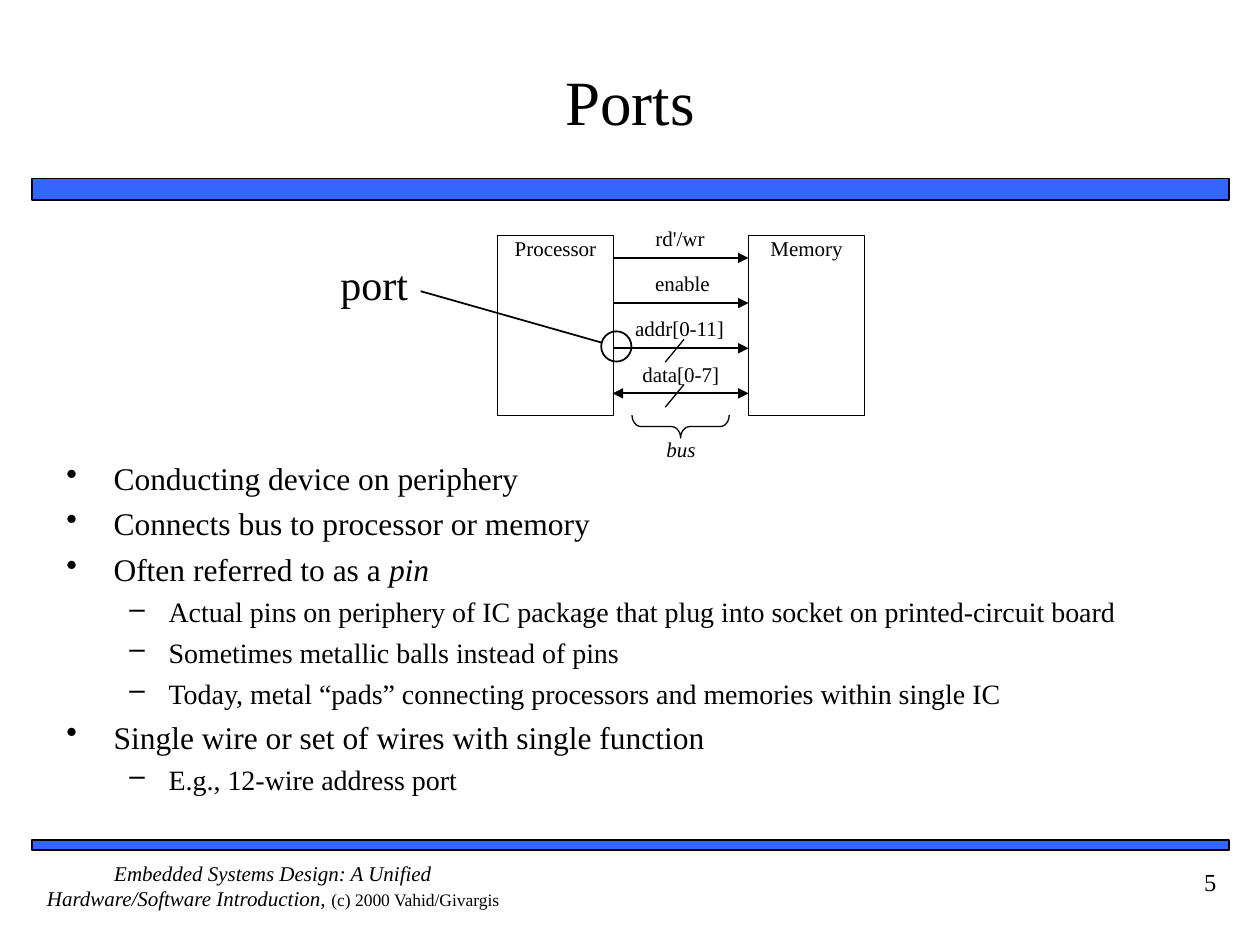
import pptx
import pptx.util
import pptx.dml.color
import pptx.enum.shapes
import pptx.enum.text
import pptx.oxml
from pptx.oxml.ns import qn
from pptx.util import Cm

COLOURS = {"bar": "3366FF", "ink": "000000", "paper": "FFFFFF"}
FONT = "Times New Roman"
SHAPES = pptx.enum.shapes.MSO_SHAPE
ALIGN = pptx.enum.text.PP_ALIGN
ANCHOR = pptx.enum.text.MSO_ANCHOR

# Bullet levels: sign, text indent and hanging in cm, size and space before in points
LEVELS = [
    {"sign": "•", "indent": 0.95, "hang": 0.95, "size": 18, "before": 4.5},
    {"sign": "–", "indent": 2.06, "hang": 0.79, "size": 16, "before": 4},
]
BULLETS = [
    (0, [("Conducting device on periphery", False)]),
    (0, [("Connects bus to processor or memory", False)]),
    (0, [("Often referred to as a ", False), ("pin", True)]),
    (1, [("Actual pins on periphery of IC package that plug into socket "
          "on printed-circuit board", False)]),
    (1, [("Sometimes metallic balls instead of pins", False)]),
    (1, [("Today, metal “pads” connecting processors and memories within single IC", False)]),
    (0, [("Single wire or set of wires with single function", False)]),
    (1, [("E.g., 12-wire address port", False)]),
]
# Signal name, label left and width in cm, wide bus, arrow at both ends
SIGNALS = [
    ("rd'/wr", 12.73, 1.96, False, False),
    ("enable", 12.78, 1.96, False, False),
    ("addr[0-11]", 12.24, 2.92, True, False),
    ("data[0-7]", 12.47, 2.51, True, True),
]


def colour(name):
    return pptx.dml.color.RGBColor.from_string(COLOURS[name])


def set_values(target, values):
    for name, value in values.items():
        setattr(target, name, value)


def add_span(para, text, size, italic=False):
    span = para.add_run()
    span.text = text
    set_values(span.font, {"name": FONT, "size": pptx.util.Pt(size), "italic": italic})
    span.font.color.rgb = colour("ink")


def set_frame(frame, inset=(0, 0), anchor=ANCHOR.TOP):
    across, down = (Cm(value) for value in inset)
    set_values(frame, {
        "word_wrap": True, "vertical_anchor": anchor,
        "margin_left": across, "margin_right": across,
        "margin_top": down, "margin_bottom": down,
    })


def add_text(page, place, spans, align=ALIGN.CENTER, **frame_values):
    """Add a one-paragraph box; spans are (text, size, italic)."""
    box = page.shapes.add_textbox(*map(Cm, place))
    set_frame(box.text_frame, **frame_values)
    para = box.text_frame.paragraphs[0]
    para.alignment = align
    for span in spans:
        add_span(para, *span)


def add_figure(page, kind, place, fill=None, width=1):
    figure = page.shapes.add_shape(kind, *map(Cm, place))
    figure.shadow.inherit = False
    if fill:
        figure.fill.solid()
        figure.fill.fore_color.rgb = colour(fill)
    else:
        figure.fill.background()
    figure.line.color.rgb = colour("ink")
    figure.line.width = pptx.util.Pt(width)
    return figure


def add_block(page, left, name):
    block = add_figure(page, SHAPES.RECTANGLE, (left, 4.75, 2.34, 3.63), "paper", 0.75)
    set_frame(block.text_frame)
    para = block.text_frame.paragraphs[0]
    para.alignment = ALIGN.CENTER
    add_span(para, name, 12)


def add_line(page, start, end, width=0.75, arrows=()):
    line = page.shapes.add_connector(
        pptx.enum.shapes.MSO_CONNECTOR.STRAIGHT, *map(Cm, start + end))
    line.line.color.rgb = colour("ink")
    line.line.width = pptx.util.Pt(width)
    outline = line.line._get_or_add_ln()
    for arrow in arrows:
        outline.append(pptx.oxml.parse_xml(
            f'<a:{arrow} xmlns:a="http://schemas.openxmlformats.org/drawingml/2006/main"'
            ' type="triangle"/>'))
    line._element.spPr.append(pptx.oxml.xmlchemy.OxmlElement("a:effectLst"))


def add_bullets(page):
    box = page.shapes.add_textbox(Cm(1.09), Cm(9.12), Cm(23.29), Cm(7.85))
    frame = box.text_frame
    set_frame(frame, inset=(0.25, 0.13))
    for index, (depth, spans) in enumerate(BULLETS):
        level = LEVELS[depth]
        para = frame.paragraphs[0] if index == 0 else frame.add_paragraph()
        properties = para._p.get_or_add_pPr()
        properties.set("marL", str(Cm(level["indent"])))
        properties.set("indent", str(-Cm(level["hang"])))
        bullet = pptx.oxml.xmlchemy.OxmlElement("a:buChar")
        bullet.set("char", level["sign"])
        properties.append(bullet)
        para.level = depth
        if index:
            para.space_before = pptx.util.Pt(level["before"])
        for text, italic in spans:
            add_span(para, text, level["size"], italic)


def add_diagram(page):
    add_text(page, (12.75, 8.81, 1.96, 0.91), [("bus", 12, True)])
    left, right = 12.35, 15.09
    add_block(page, 10.03, "Processor")
    add_block(page, right, "Memory")

    # Signal wires with their labels; a slash marks a multi-wire bus
    for row, (name, label_left, label_width, wide, both) in enumerate(SIGNALS):
        level = 5.2 + 0.91 * row
        arrows = ("headEnd", "tailEnd") if both else ("tailEnd",)
        add_line(page, (left, level), (right, level), 1.25 if wide else 0.75, arrows)
        add_text(page, (label_left, level - 0.65, label_width, 0.91), [(name, 12)])
        if wide:
            add_line(page, (13.79, level - 0.18), (13.41, level + 0.28))

    # Brace over the bus name
    brace = add_figure(page, SHAPES.RIGHT_BRACE, (13.49, 7.62, 0.46, 1.96), width=0.75)
    brace.rotation = 90
    brace.adjustments[0] = 0.4

    # Port callout
    add_figure(page, SHAPES.OVAL, (12.12, 6.68, 0.61, 0.61))
    add_line(page, (12.14, 6.91), (8.48, 5.87), 1)
    add_text(page, (6.58, 5.21, 1.93, 1.02), [("port", 24)])


def main():
    deck = pptx.Presentation()
    set_values(deck, {"slide_width": Cm(25.4), "slide_height": Cm(19.05)})
    page = deck.slides.add_slide(deck.slide_layouts[6])

    # Bars and footer
    for top, height in ((3.6, 0.43), (16.93, 0.21)):
        add_figure(page, SHAPES.RECTANGLE, (0.64, top, 24.13, height), "bar")
    add_text(page, (0.64, 17.35, 9.73, 1.27), [
        ("Embedded Systems Design: A Unified Hardware/Software Introduction, ", 12, True),
        ("(c) 2000 Vahid/Givargis", 10)])
    add_text(page, (22.23, 17.35, 2.54, 1.27), [("5", 14)],
             align=ALIGN.RIGHT, inset=(0.25, 0.13))

    # Title and content
    add_text(page, (1.06, 0.43, 23.29, 3.18), [("Ports", 36)],
             inset=(0, 0.13), anchor=ANCHOR.MIDDLE)
    add_bullets(page)
    add_diagram(page)
    deck.save("out.pptx")


if __name__ == "__main__":
    main()
